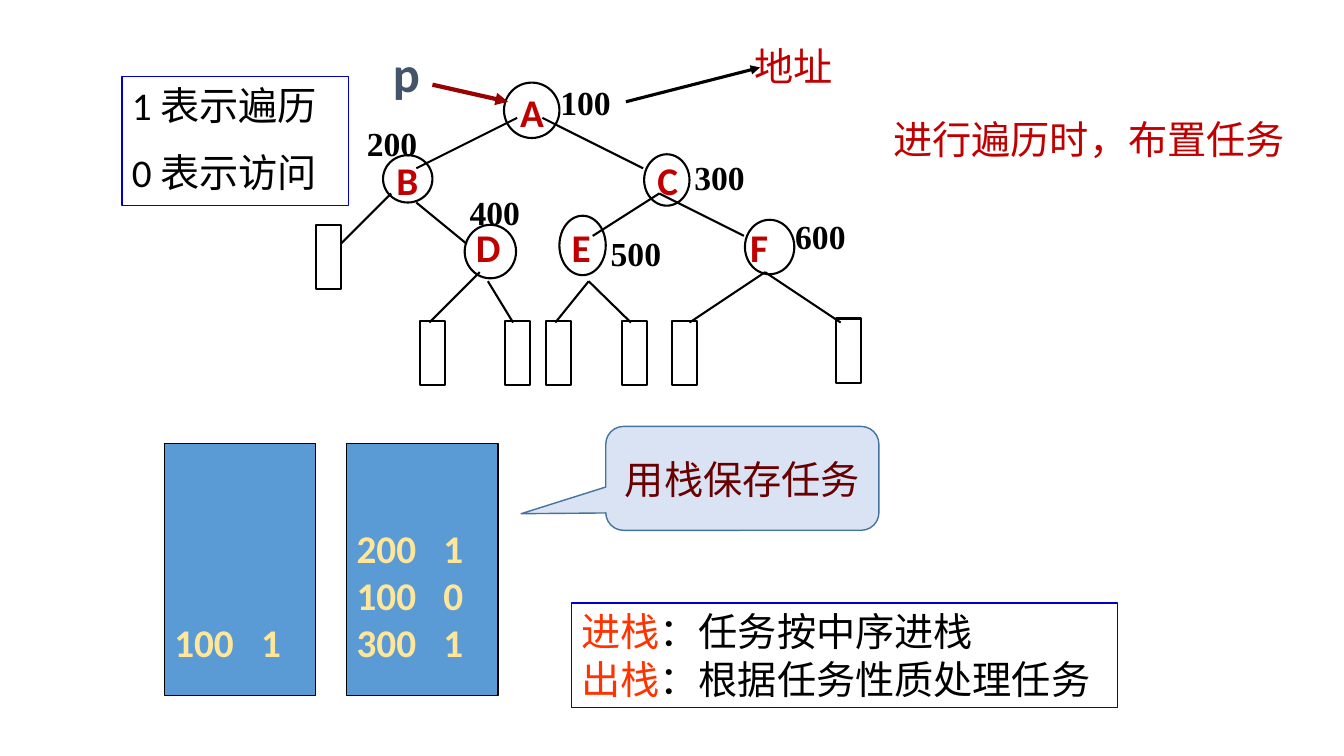
"""Build the slide on traversing a binary tree with a task stack."""
from dataclasses import dataclass

from lxml import etree
from pptx import Presentation
from pptx.dml.color import RGBColor
from pptx.enum.shapes import MSO_CONNECTOR, MSO_SHAPE
from pptx.enum.text import MSO_ANCHOR, PP_ALIGN
from pptx.oxml.ns import qn
from pptx.util import Pt

RECTANGLE = MSO_SHAPE.RECTANGLE
OVAL = MSO_SHAPE.OVAL
CALLOUT = MSO_SHAPE.ROUNDED_RECTANGULAR_CALLOUT
STRAIGHT = MSO_CONNECTOR.STRAIGHT
TOP, MIDDLE, BOTTOM = MSO_ANCHOR.TOP, MSO_ANCHOR.MIDDLE, MSO_ANCHOR.BOTTOM
LEFT, CENTER = PP_ALIGN.LEFT, PP_ALIGN.CENTER


@dataclass(frozen=True)
class Theme:
    """Colours, fonts and type sizes of the slide."""
    black: str = "000000"
    red: str = "C00000"
    dark_red: str = "990000"
    maroon: str = "680000"
    orange: str = "FF3300"
    slate: str = "44546A"
    frame_blue: str = "0000CC"
    stack_blue: str = "5B9BD5"
    stack_text: str = "FFE699"
    callout_fill: str = "DAE3F3"
    callout_line: str = "43739E"
    body_font: str = "Calibri"
    address_font: str = "Times New Roman"
    note_font: str = "Noto Sans CJK SC"
    body_size: float = 28
    address_size: float = 24
    pointer_size: float = 36


THEME = Theme()


@dataclass(frozen=True)
class Box:
    """Left, top, width and height in points."""
    left: float
    top: float
    width: float
    height: float

    def lengths(self) -> list[Pt]:
        """Return the four lengths for a shape call."""
        return [Pt(value) for value in (self.left, self.top, self.width, self.height)]


@dataclass(frozen=True)
class Style:
    """Look of a piece of text."""
    color: str = THEME.black
    size: float = THEME.body_size
    font: str = THEME.body_font
    bold: bool = False
    align: PP_ALIGN = LEFT
    anchor: MSO_ANCHOR = TOP
    space_before: float = 0


@dataclass(frozen=True)
class Node:
    """Tree node with its letter centre and address corner."""
    letter: str
    address: str
    oval: Box
    letter_center: tuple[float, float]
    address_corner: tuple[float, float]


@dataclass(frozen=True)
class Edge:
    """Straight line between two points."""
    start: tuple[float, float]
    end: tuple[float, float]
    color: str = THEME.black
    width: float = 1.5
    arrow: bool = False


@dataclass(frozen=True)
class Label:
    """Free text on the slide."""
    text: str
    box: Box
    style: Style


NODES = [
    Node("A", "100", Box(360, 59, 39.6, 39.6), (380, 80), (393.1, 54.7)),
    Node("B", "200", Box(273.6, 110.9, 35.3, 33.8), (291, 128.5), (254.9, 84.2)),
    Node("C", "300", Box(460.1, 110.2, 32.4, 36.7), (477, 128.5), (488.9, 108.7)),
    Node("D", "400", Box(331.9, 160.6, 36.7, 38.2), (348.8, 176.5), (328.3, 133.2)),
    Node("E", "500", Box(399.6, 154.1, 33.1, 42.5), (415.2, 176.5), (429.1, 162.7)),
    Node("F", "600", Box(532.1, 157, 35.3, 38.9), (542.2, 176.5), (560.9, 150.5)),
]
LEAF_CORNERS = [(225.4, 160.6), (596.9, 227.5)] + [
    (left, 229) for left in (300.2, 360.7, 390.2, 444.2, 480.2)]
EDGES = [
    Edge((369.4, 84.2), (297.4, 120.2)), Edge((387.4, 84.2), (459.4, 120.2)),
    Edge((279.4, 138.2), (243.4, 174.2)), Edge((297.4, 144.7), (333.4, 174.2)),
    Edge((470.9, 138.2), (423.4, 168.5)), Edge((470.9, 138.2), (531.4, 168.5)),
    Edge((342.7, 194.4), (306.7, 230.4)), Edge((348.5, 200.9), (366.5, 230.4)),
    Edge((420.5, 200.9), (396.7, 230.4)), Edge((420.5, 200.9), (450.7, 230.4)),
    Edge((546.5, 194.4), (492.5, 230.4)), Edge((546.5, 194.4), (600.5, 230.4)),
    Edge((447.1, 72.7), (542.9, 48.2), width=2.25, arrow=True),
    Edge((308.9, 60.5), (362.9, 72.7), THEME.dark_red, 3, True),
]
LABELS = [
    Label("地址", Box(532.1, 26.6, 90, 41), Style(THEME.red)),
    Label("p", Box(273.6, 26.6, 41.8, 50.4),
          Style(THEME.slate, THEME.pointer_size, bold=True)),
    Label("进行遍历时，布置任务", Box(629.3, 78.5, 297.4, 41),
          Style(THEME.red, font=THEME.note_font, align=CENTER)),
]
STACKS = [
    (Box(117.4, 316.8, 108, 180), [("100", 1)]),
    (Box(247.7, 316.8, 108, 180), [("200", 1), ("100", 0), ("300", 1)]),
]
RULES = [("进栈", "：任务按中序进栈"), ("出栈", "：根据任务性质处理任务")]
LETTER_STYLE = Style(THEME.red, bold=True, align=CENTER, anchor=MIDDLE)
ADDRESS_STYLE = Style(size=THEME.address_size, font=THEME.address_font, bold=True)


def write(shape, text: str, style: Style) -> None:
    """Put styled text into a shape."""
    frame = shape.text_frame
    frame.text = text
    frame.word_wrap = True
    frame.vertical_anchor = style.anchor
    for index, paragraph in enumerate(frame.paragraphs):
        paragraph.alignment = style.align
        if index:
            paragraph.space_before = Pt(style.space_before)
        for run in paragraph.runs:
            run.font.name = style.font
            run.font.size = Pt(style.size)
            run.font.bold = style.bold
            run.font.color.rgb = RGBColor.from_string(style.color)


def add_label(slide, label: Label) -> None:
    """Add a text box."""
    write(slide.shapes.add_textbox(*label.box.lengths()), label.text, label.style)


def add_outline(slide, kind: MSO_SHAPE, box: Box, line: str, width: float, fill: str = ""):
    """Add a preset shape, unfilled unless a fill is given."""
    shape = slide.shapes.add_shape(kind, *box.lengths())
    shape.shadow.inherit = False
    shape.line.color.rgb = RGBColor.from_string(line)
    shape.line.width = Pt(width)
    if fill:
        shape.fill.solid()
        shape.fill.fore_color.rgb = RGBColor.from_string(fill)
    else:
        shape.fill.background()
    return shape


def add_edge(slide, edge: Edge) -> None:
    """Add a line, with an arrowhead where asked."""
    points = [Pt(value) for value in edge.start + edge.end]
    connector = slide.shapes.add_connector(STRAIGHT, *points)
    connector.line.color.rgb = RGBColor.from_string(edge.color)
    connector.line.width = Pt(edge.width)
    if edge.arrow:
        etree.SubElement(connector.line._get_or_add_ln(), qn("a:tailEnd"), type="triangle")
    etree.SubElement(connector._element.spPr, qn("a:effectLst"))


def add_node(slide, node: Node) -> None:
    """Add a node's circle, letter and address."""
    add_outline(slide, OVAL, node.oval, THEME.black, 1.5)
    center_x, center_y = node.letter_center
    letter_box = Box(center_x - 20, center_y - 20, 40, 40)
    add_label(slide, Label(node.letter, letter_box, LETTER_STYLE))
    add_label(slide, Label(node.address, Box(*node.address_corner, 54, 36), ADDRESS_STYLE))


def add_stack(slide, box: Box, tasks: list[tuple[str, int]]) -> None:
    """Add a stack with addresses and flags aligned by a tab stop."""
    shape = add_outline(slide, RECTANGLE, box, THEME.black, 1, THEME.stack_blue)
    text = "\n".join(f"{address}\t{flag}" for address, flag in tasks)
    write(shape, text, Style(THEME.stack_text, bold=True, anchor=BOTTOM))
    shape.text_frame.margin_bottom = Pt(21.6)
    for paragraph in shape.text_frame.paragraphs:
        tabs = etree.SubElement(paragraph._p.get_or_add_pPr(), qn("a:tabLst"))
        etree.SubElement(tabs, qn("a:tab"), pos=str(Pt(62)), algn="l")


def add_rules(slide) -> None:
    """Add the framed push and pop rules."""
    shape = add_outline(slide, RECTANGLE, Box(408.2, 430.6, 390.2, 74.9), THEME.frame_blue, 1)
    write(shape, "\n".join(term for term, _ in RULES), Style(THEME.orange))
    for paragraph, (_, meaning) in zip(shape.text_frame.paragraphs, RULES):
        run = paragraph.add_run()
        run.text = meaning
        run.font.name = THEME.body_font
        run.font.size = Pt(THEME.body_size)
        run.font.color.rgb = RGBColor.from_string(THEME.black)


def main() -> None:
    """Build and save the presentation."""
    presentation = Presentation()
    presentation.slide_width, presentation.slide_height = Pt(960), Pt(540)
    slide = presentation.slides.add_slide(presentation.slide_layouts[6])
    for box, tasks in STACKS:
        add_stack(slide, box, tasks)
    add_rules(slide)
    callout = add_outline(slide, CALLOUT, Box(432.7, 304.6, 195.1, 74.2),
                          THEME.callout_line, 1, THEME.callout_fill)
    for index, value in enumerate((-0.81, 0.34, 0.17)):
        callout.adjustments[index] = value
    write(callout, "用栈保存任务", Style(THEME.maroon, align=CENTER, anchor=MIDDLE))
    for node in NODES:
        add_node(slide, node)
    for corner in LEAF_CORNERS:
        add_outline(slide, RECTANGLE, Box(*corner, 18, 46.1), THEME.black, 1.5)
    for edge in EDGES:
        add_edge(slide, edge)
    for label in LABELS:
        add_label(slide, label)
    legend = add_outline(slide, RECTANGLE, Box(87.1, 54.7, 162, 92.2), THEME.frame_blue, 1)
    write(legend, "1 表示遍历\n0 表示访问", Style(space_before=14))
    presentation.save("out.pptx")


if __name__ == "__main__":
    main()
